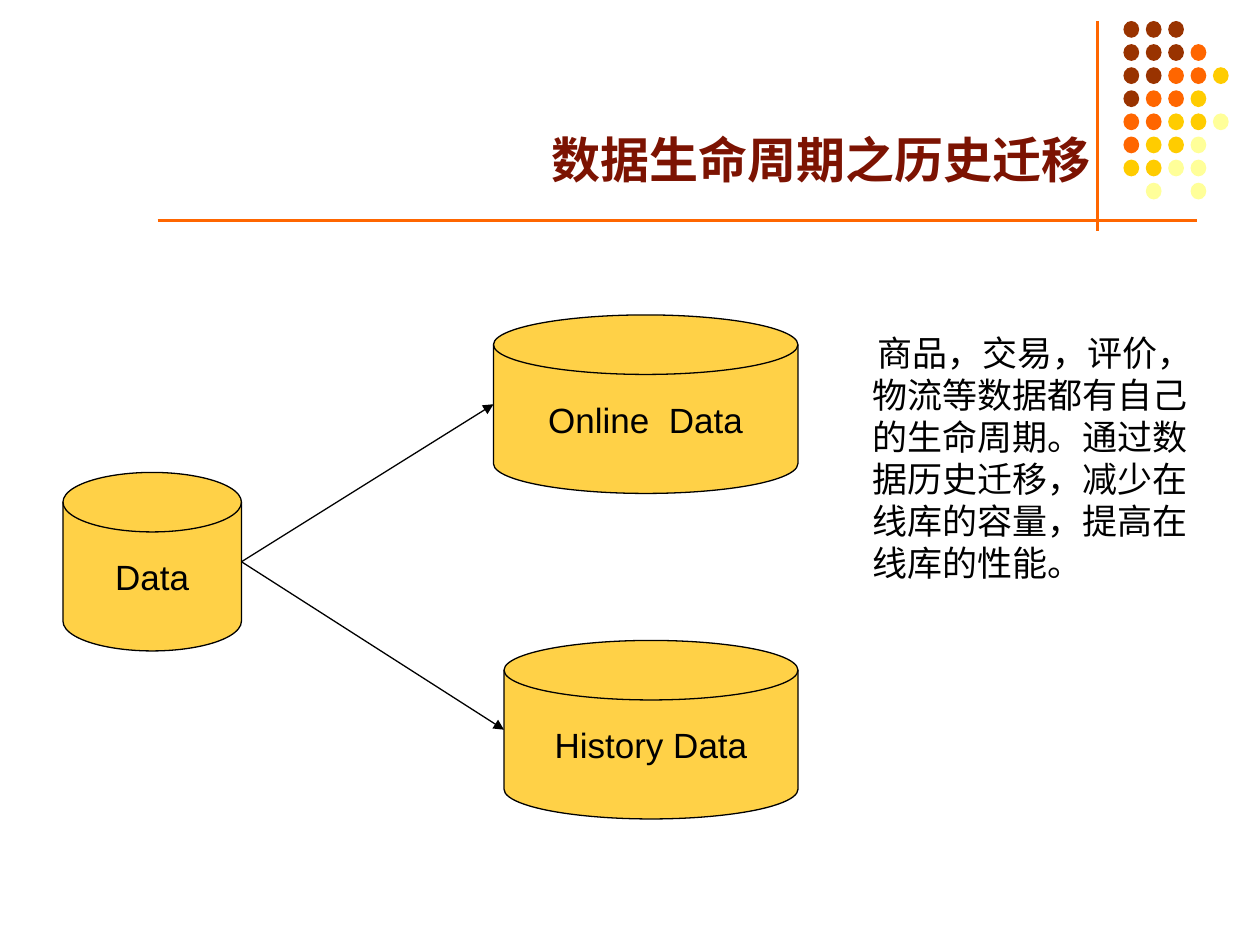
import dataclasses

import lxml.etree
import pptx
import pptx.dml.color
import pptx.enum.shapes
import pptx.enum.text
import pptx.oxml.ns
import pptx.util

SHAPE = pptx.enum.shapes.MSO_SHAPE
ALIGN = pptx.enum.text.PP_ALIGN
ANCHOR = pptx.enum.text.MSO_ANCHOR


@dataclasses.dataclass(frozen=True)
class Theme:
    font: str = "Arial"
    title_size: int = 28
    body_size: int = 20
    space_before: int = 5
    rule_width: float = 1.5
    outline_width: float = 0.75
    ink: str = "000000"
    title: str = "7C1302"
    disk: str = "FFD147"
    brown: str = "993300"
    orange: str = "FF6600"
    amber: str = "FFCC00"
    cream: str = "FFFF99"


def rgb(colour):
    return pptx.dml.color.RGBColor.from_string(colour)


def grid(cells):
    """Turn grid cells, twelve to the inch, into a length."""
    return pptx.util.Inches(cells / 12)


class SlideBuilder:
    def __init__(self, slide, theme):
        self.slide = slide
        self.theme = theme

    def label(self, shape, text, size, colour, align, anchor, bold=False, before=0):
        frame = shape.text_frame
        frame.word_wrap = True
        frame.vertical_anchor = anchor
        paragraph = frame.paragraphs[0]
        paragraph.text = text
        paragraph.alignment = align
        paragraph.space_before = pptx.util.Pt(before)
        paragraph.font.name = self.theme.font
        paragraph.font.size = pptx.util.Pt(size)
        paragraph.font.bold = bold
        paragraph.font.color.rgb = rgb(colour)
        return paragraph

    def text(self, left, top, width, height, *args, **options):
        box = self.slide.shapes.add_textbox(*map(grid, (left, top, width, height)))
        return self.label(box, *args, **options)

    def shape(self, kind, left, top, width, height, fill):
        shape = self.slide.shapes.add_shape(kind, *map(grid, (left, top, width, height)))
        shape.shadow.inherit = False
        shape.fill.solid()
        shape.fill.fore_color.rgb = rgb(fill)
        shape.line.fill.background()
        return shape

    def disk(self, name, left, top, width, height=17):
        disk = self.shape(SHAPE.FLOWCHART_MAGNETIC_DISK, left, top, width, height,
                          self.theme.disk)
        disk.line.color.rgb = rgb(self.theme.ink)
        disk.line.width = pptx.util.Pt(self.theme.outline_width)
        self.label(disk, name, self.theme.body_size, self.theme.ink, ALIGN.CENTER,
                   ANCHOR.MIDDLE, before=self.theme.space_before)
        return disk

    def line(self, x1, y1, x2, y2, colour, width):
        line = self.slide.shapes.add_connector(
            pptx.enum.shapes.MSO_CONNECTOR.STRAIGHT, x1, y1, x2, y2)
        line.line.color.rgb = rgb(colour)
        line.line.width = pptx.util.Pt(width)
        lxml.etree.SubElement(line._element.spPr, pptx.oxml.ns.qn("a:effectLst"))
        return line

    def rule(self, x1, y1, x2, y2):
        self.line(*map(grid, (x1, y1, x2, y2)), self.theme.orange, self.theme.rule_width)

    def arrow(self, source, target):
        arrow = self.line(source.left + source.width, source.top + source.height // 2,
                          target.left, target.top + target.height // 2,
                          self.theme.ink, self.theme.outline_width)
        outline = arrow._element.spPr.find(pptx.oxml.ns.qn("a:ln"))
        lxml.etree.SubElement(outline, pptx.oxml.ns.qn("a:tailEnd"), type="triangle")

    def dots(self, left, top, pattern):
        colours = {"B": self.theme.brown, "O": self.theme.orange,
                   "A": self.theme.amber, "C": self.theme.cream}
        for row, marks in enumerate(pattern):
            for column, mark in enumerate(marks):
                if mark in colours:
                    self.shape(SHAPE.OVAL, left + 2.13 * column, top + 2.2 * row,
                               1.5, 1.6, colours[mark])


def main():
    deck = pptx.Presentation()
    deck.slide_width, deck.slide_height = grid(120), grid(90)
    theme = Theme()
    page = SlideBuilder(deck.slides.add_slide(deck.slide_layouts[6]), theme)

    # Corner decoration and rules
    page.rule(104.5, 2, 104.5, 22)
    page.dots(107, 2, ("BBB", "BBBO", "BBOOA", "BOOA", "OOAAC", "OAAC", "AACC", ".C.C"))
    page.rule(15, 21, 114, 21)

    # Title
    page.text(6, 1.5, 99, 17, "数据生命周期之历史迁移", theme.title_size, theme.title,
              ALIGN.RIGHT, ANCHOR.BOTTOM, bold=True)

    # Data split into online and history stores
    data = page.disk("Data", 6, 45, 17)
    online = page.disk("Online  Data", 47, 30, 29)
    history = page.disk("History Data", 48, 61, 28)
    for store in (online, history):
        page.arrow(data, store)

    # Explanation, with a slight first-line indent
    explanation = page.text(
        79, 31, 36, 25.2,
        "商品，交易，评价，物流等数据都有自己的生命周期。通过数据历史迁移，减少在线库的容量，提高在线库的性能。",
        theme.body_size, theme.ink, ALIGN.LEFT, ANCHOR.TOP, before=theme.space_before)
    indents = explanation._p.get_or_add_pPr()
    indents.set("marL", str(pptx.util.Inches(0.24)))
    indents.set("indent", str(pptx.util.Inches(0.04)))

    deck.save("out.pptx")


if __name__ == "__main__":
    main()
